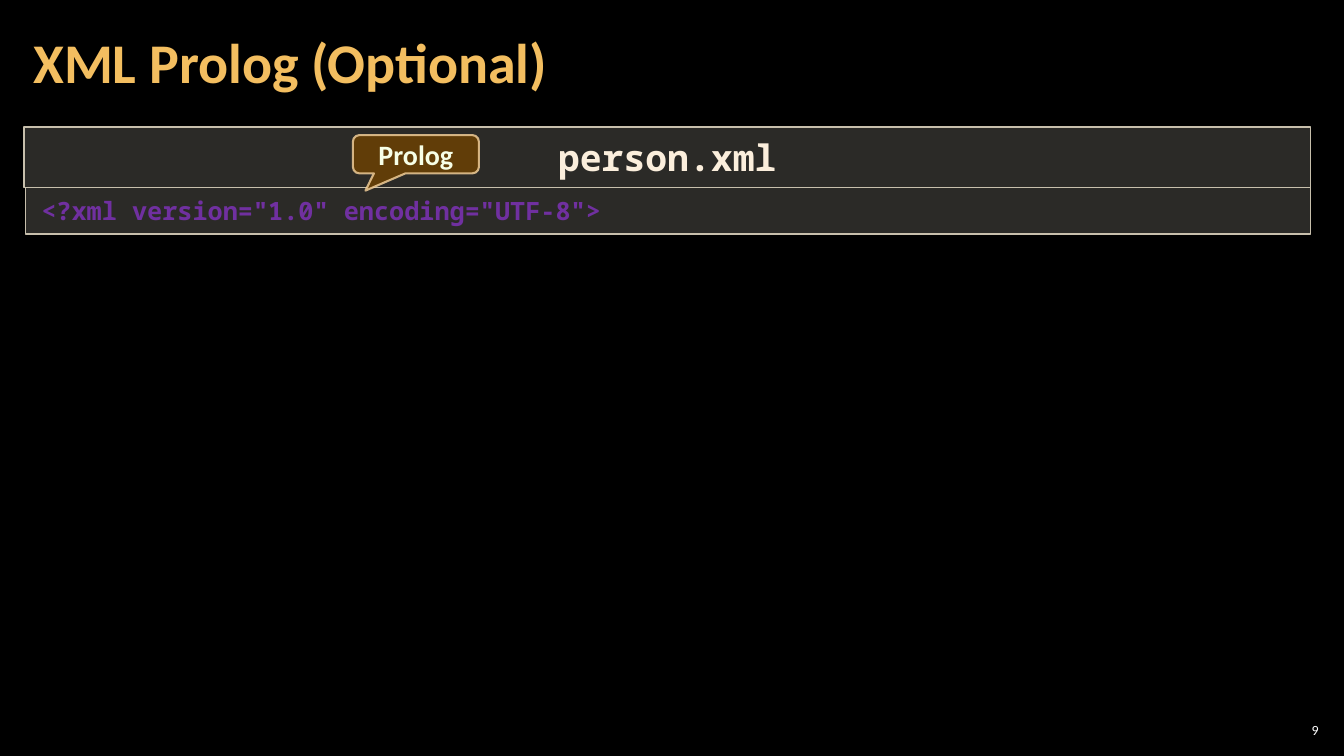
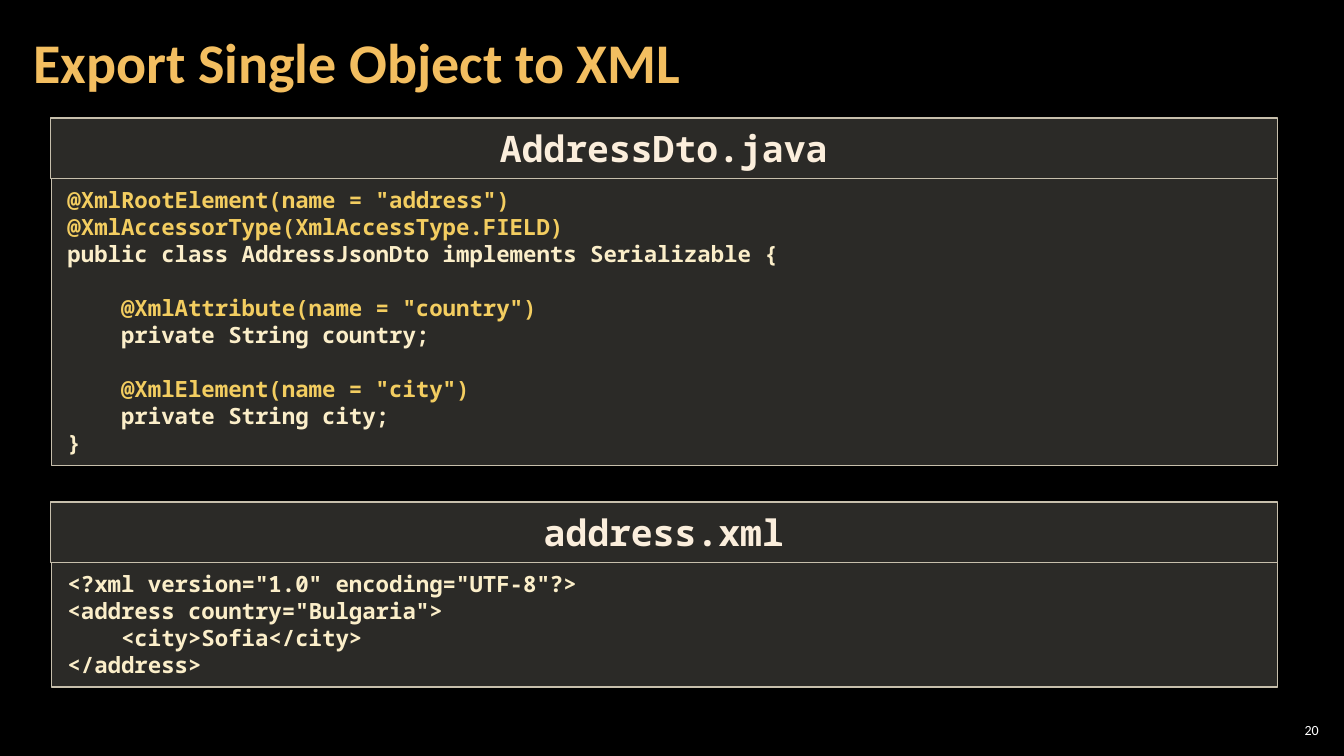
"""Build two slides that show XML files and the Java class behind them."""
from lxml import etree
from pptx import Presentation
from pptx.dml.color import RGBColor
from pptx.enum.shapes import MSO_SHAPE
from pptx.enum.text import MSO_ANCHOR, MSO_AUTO_SIZE, PP_ALIGN
from pptx.oxml.ns import qn
from pptx.util import Inches, Pt

RECT = MSO_SHAPE.RECTANGLE
CALLOUT = MSO_SHAPE.ROUNDED_RECTANGULAR_CALLOUT
TOP, MIDDLE = MSO_ANCHOR.TOP, MSO_ANCHOR.MIDDLE
LEFT, CENTER, RIGHT = PP_ALIGN.LEFT, PP_ALIGN.CENTER, PP_ALIGN.RIGHT
NO_FIT = MSO_AUTO_SIZE.NONE

BLACK = RGBColor(0x00, 0x00, 0x00)
WHITE = RGBColor(0xFF, 0xFF, 0xFF)
ORANGE = RGBColor(0xF3, 0xBE, 0x60)
GOLD = RGBColor(0xF3, 0xCD, 0x60)
CREAM = RGBColor(0xFB, 0xEE, 0xC9)
IVORY = RGBColor(0xFB, 0xEE, 0xDC)
PURPLE = RGBColor(0x70, 0x30, 0xA0)
SAND = RGBColor(0xD9, 0xD5, 0xC7)
EDGE = RGBColor(0xC7, 0xBF, 0xAC)
BROWN = RGBColor(0x64, 0x3F, 0x07)
PEACH = RGBColor(0xF8, 0xD4, 0x9E)
MINT = RGBColor(0xF7, 0xFF, 0xE7)

SANS, MONO = "Calibri", "Noto Sans Mono"
HEAD = 0.6
PAD = (0.16, 0.08)
LEAD = 1.21

JAVA = """@XmlRootElement(name = "address")
@XmlAccessorType(XmlAccessType.FIELD)
public class AddressJsonDto implements Serializable {

    @XmlAttribute(name = "country")
    private String country;

    @XmlElement(name = "city")
    private String city;
}"""
XML = """<?xml version="1.0" encoding="UTF-8"?>
<address country="Bulgaria">
    <city>Sofia</city>
</address>"""
PROLOG = '<?xml version="1.0" encoding="UTF-8">'

SLIDES = [
    {"title": "XML Prolog (Optional)", "number": "9",
     "left": 0.24, "width": 12.76, "size": 18, "ink": PURPLE,
     "panels": [(1.26, "person.xml", PROLOG)],
     "note": ("Prolog", (3.5, 1.34, 1.25, 0.38), (-0.4, 0.95, 0.17))},
    {"title": "Export Single Object to XML", "number": "20",
     "left": 0.5, "width": 12.17, "size": 16, "ink": CREAM,
     "panels": [(1.17, "AddressDto.java", JAVA), (4.98, "address.xml", XML)]},
]


def place(box):
    return [Inches(part) for part in box]


def style(para, face, size, ink, bold=True, align=LEFT):
    para.alignment = align
    font = para.font
    font.name, font.size, font.bold = face, Pt(size), bold
    font.color.rgb = ink


def frame(shape, pad, anchor):
    text = shape.text_frame
    text.word_wrap, text.auto_size = True, NO_FIT
    text.vertical_anchor = anchor
    text.margin_left = text.margin_right = Inches(pad[0])
    text.margin_top = text.margin_bottom = Inches(pad[1])
    return text


def fade(fill, share):
    color = fill._xPr.find(qn("a:solidFill"))[0]
    etree.SubElement(color, qn("a:alpha"), val=str(share * 1000))


def block(slide, kind, box, paint, share, edge, weight):
    shape = slide.shapes.add_shape(kind, *place(box))
    shape.shadow.inherit = False
    shape.fill.solid()
    shape.fill.fore_color.rgb = paint
    fade(shape.fill, share)
    shape.line.color.rgb = edge
    shape.line.width = Pt(weight)
    return shape


def add_code(text, code, size, ink):
    gap, first = 0, True
    for line in code.splitlines():
        if not line:
            gap += size * LEAD
            continue
        para = text.paragraphs[0] if first else text.add_paragraph()
        para.text = line
        if gap:
            para.space_before = Pt(gap)
        style(para, MONO, size, GOLD if line.lstrip().startswith("@") else ink)
        gap, first = 0, False


def add_panel(slide, page, top, name, code):
    left, width, size = page["left"], page["width"], page["size"]
    tall = 2 * PAD[1] + len(code.splitlines()) * size * LEAD / 72
    body = block(slide, RECT, (left + 0.01, top + HEAD, width - 0.01, tall),
                 SAND, 20, EDGE, 1)
    add_code(frame(body, PAD, TOP), code, size, page["ink"])
    head = block(slide, RECT, (left, top, width, HEAD), SAND, 20, EDGE, 1)
    text = frame(head, PAD, TOP)
    text.text = name
    style(text.paragraphs[0], MONO, 26, IVORY, align=CENTER)


def add_note(slide, words, box, tip):
    note = block(slide, CALLOUT, box, BROWN, 95, PEACH, 1.5)
    fade(note.line.fill, 80)
    for spot, value in enumerate(tip):
        note.adjustments[spot] = value
    text = frame(note, (0.1, 0.05), MIDDLE)
    text.text = words
    style(text.paragraphs[0], SANS, 20, MINT, align=CENTER)


def add_base(slide, page):
    title = slide.shapes.title
    title.left, title.top, title.width, title.height = place(
        (0.21, 0.04, 10.47, 1.21))
    text = frame(title, (0.12, 0.04), MIDDLE)
    text.text = page["title"]
    style(text.paragraphs[0], SANS, 40, ORANGE)
    text.paragraphs[0].line_spacing = 0.9
    foot = slide.shapes.add_textbox(*place((12.65, 7.14, 0.47, 0.21)))
    text = frame(foot, (0.04, 0.04), MIDDLE)
    text.text = page["number"]
    style(text.paragraphs[0], SANS, 10, WHITE, False, RIGHT)


def main():
    deck = Presentation()
    deck.slide_width, deck.slide_height = place((13.33, 7.5))
    back = deck.slide_master.background.fill
    back.solid()
    back.fore_color.rgb = BLACK
    for page in SLIDES:
        slide = deck.slides.add_slide(deck.slide_layouts[5])
        add_base(slide, page)
        for panel in page["panels"]:
            add_panel(slide, page, *panel)
        if "note" in page:
            add_note(slide, *page["note"])
    deck.save("out.pptx")


if __name__ == "__main__":
    main()
